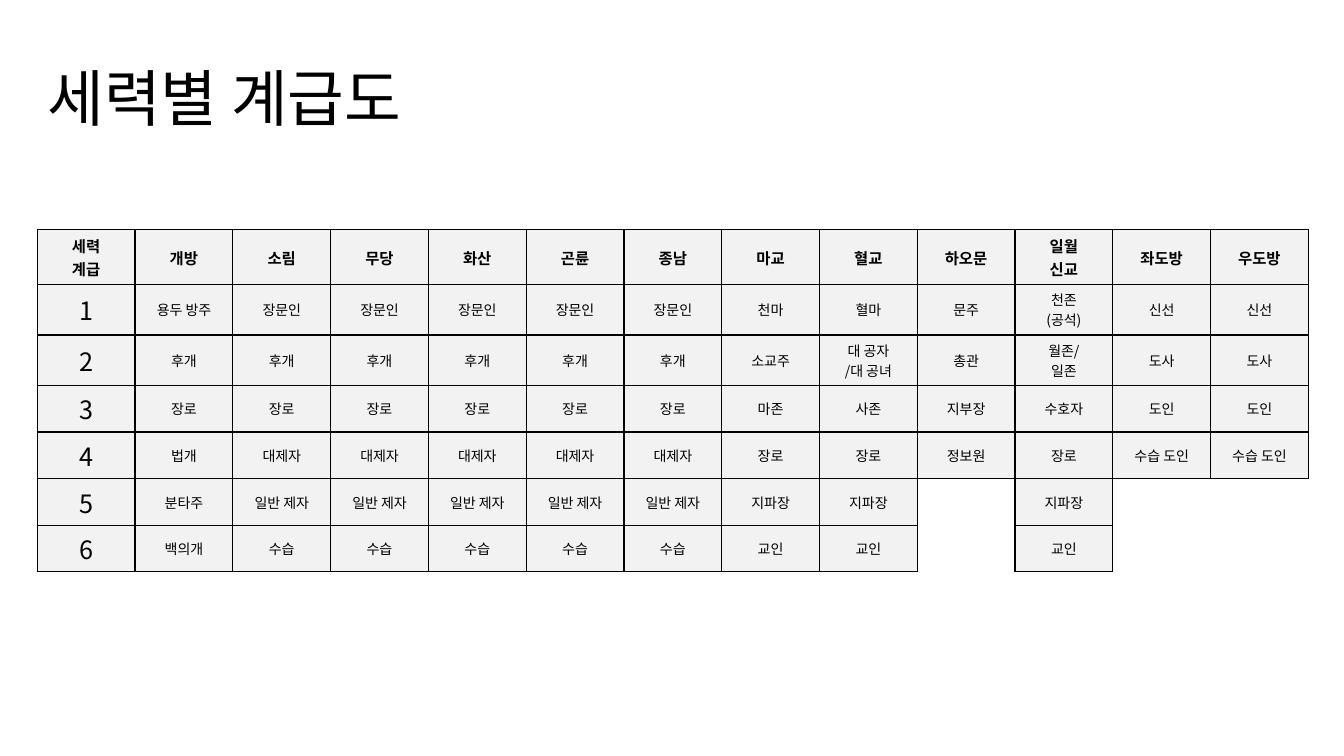
"""Build a slide with a table of the ranks in each faction."""
from dataclasses import dataclass

from lxml import etree
from pptx import Presentation
from pptx.dml.color import RGBColor
from pptx.enum.text import MSO_ANCHOR, MSO_AUTO_SIZE, PP_ALIGN
from pptx.oxml.ns import qn
from pptx.util import Inches, Pt

LEFT, CENTER = PP_ALIGN.LEFT, PP_ALIGN.CENTER
MIDDLE = MSO_ANCHOR.MIDDLE
NO_FIT = MSO_AUTO_SIZE.NONE
FONT = "Noto Sans CJK KR"
BLACK = "000000"
CELL_GRAY = "F2F2F2"
COLUMN_WIDTH = 0.97
ROW_HEIGHTS = (0.54, 0.5, 0.5, 0.46, 0.46, 0.46, 0.46)
NEIGHBORS = {"lnL": (0, -1), "lnR": (0, 1), "lnT": (-1, 0), "lnB": (1, 0)}


@dataclass(frozen=True)
class Faction:
    """A column heading and its ranks from the highest down."""

    name: str
    ranks: tuple[str, ...]


SECT_RANKS = ("장문인", "후개", "장로", "대제자", "일반 제자", "수습")
TAOIST_RANKS = ("신선", "도사", "도인", "수습 도인")
FACTIONS = (
    Faction("세력\n계급", ("1", "2", "3", "4", "5", "6")),
    Faction("개방", ("용두 방주", "후개", "장로", "법개", "분타주", "백의개")),
    *(Faction(name, SECT_RANKS) for name in ("소림", "무당", "화산", "곤륜", "종남")),
    Faction("마교", ("천마", "소교주", "마존", "장로", "지파장", "교인")),
    Faction("혈교", ("혈마", "대 공자\n/대 공녀", "사존", "장로", "지파장", "교인")),
    Faction("하오문", ("문주", "총관", "지부장", "정보원")),
    Faction("일월\n신교", ("천존\n(공석)", "월존/\n일존", "수호자", "장로", "지파장", "교인")),
    *(Faction(name, TAOIST_RANKS) for name in ("좌도방", "우도방")),
)


def color(value: str) -> RGBColor:
    """Turn a hex string into a colour."""
    return RGBColor.from_string(value)


def write_text(frame, text: str, *, size: float, bold: bool = False,
               align=CENTER, spacing: float | None = None) -> None:
    """Write one paragraph for each line of text."""
    for index, line in enumerate(text.split("\n")):
        para = frame.add_paragraph() if index else frame.paragraphs[0]
        para.alignment = align
        para.line_spacing = spacing
        span = para.add_run()
        span.text = line
        span.font.size = Pt(size)
        span.font.bold = bold
        span.font.color.rgb = color(BLACK)
        span.font.name = FONT
        east_asian = etree.SubElement(span.font._element, qn("a:ea"))
        east_asian.set("typeface", FONT)


def set_borders(cell, drawn_sides: set[str]) -> None:
    """Draw the given sides of a cell and clear the others."""
    properties = cell._tc.get_or_add_tcPr()
    for index, side in enumerate(NEIGHBORS):
        line = etree.Element(qn(f"a:{side}"), w=str(Pt(1)))
        if side in drawn_sides:
            fill = etree.SubElement(line, qn("a:solidFill"))
            etree.SubElement(fill, qn("a:srgbClr"), val=BLACK)
        else:
            etree.SubElement(line, qn("a:noFill"))
        properties.insert(index, line)


def add_title(page, text: str) -> None:
    """Place and format the slide title."""
    title = page.shapes.title
    title.left, title.top = Inches(0.37), Inches(0.42)
    title.width, title.height = Inches(12.6), Inches(1.17)
    frame = title.text_frame
    frame.auto_size = NO_FIT
    frame.word_wrap = True
    frame.vertical_anchor = MIDDLE
    write_text(frame, text, size=44, align=LEFT, spacing=0.9)


def add_rank_table(page, factions: tuple[Faction, ...]) -> None:
    """Add the table with one column for each faction."""
    texts = {
        (row, column): text
        for column, faction in enumerate(factions)
        for row, text in enumerate((faction.name, *faction.ranks))
    }
    table = page.shapes.add_table(
        len(ROW_HEIGHTS), len(factions), Inches(0.37), Inches(2.28),
        Inches(COLUMN_WIDTH * len(factions)), Inches(sum(ROW_HEIGHTS))).table
    table.first_row = False
    table.horz_banding = False
    for column in table.columns:
        column.width = Inches(COLUMN_WIDTH)
    for row_index, height in enumerate(ROW_HEIGHTS):
        table.rows[row_index].height = Inches(height)
        for column_index in range(len(factions)):
            cell = table.cell(row_index, column_index)
            cell.vertical_anchor = MIDDLE
            text = texts.get((row_index, column_index))
            if text is None:
                cell.fill.background()
                set_borders(cell, {
                    side for side, (down, right) in NEIGHBORS.items()
                    if (row_index + down, column_index + right) in texts})
                continue
            header = row_index == 0
            size = 11 if header else 18 if column_index == 0 else 10
            write_text(cell.text_frame, text, size=size, bold=header)
            cell.fill.solid()
            cell.fill.fore_color.rgb = color(CELL_GRAY)
            set_borders(cell, set(NEIGHBORS))


def main() -> None:
    """Build and save the deck."""
    deck = Presentation()
    deck.slide_width, deck.slide_height = Inches(13.33), Inches(7.5)
    page = deck.slides.add_slide(deck.slide_layouts[5])
    add_title(page, "세력별 계급도")
    add_rank_table(page, FACTIONS)
    deck.save("out.pptx")


if __name__ == "__main__":
    main()
